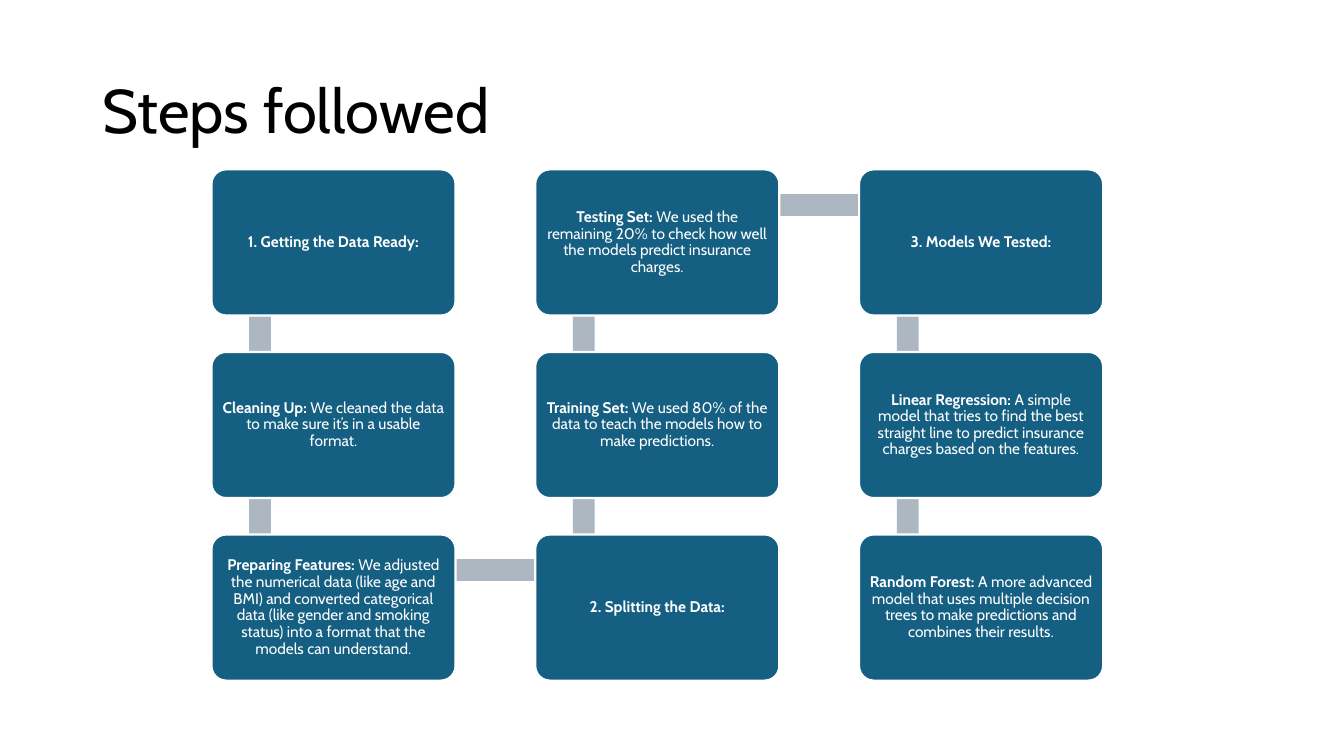
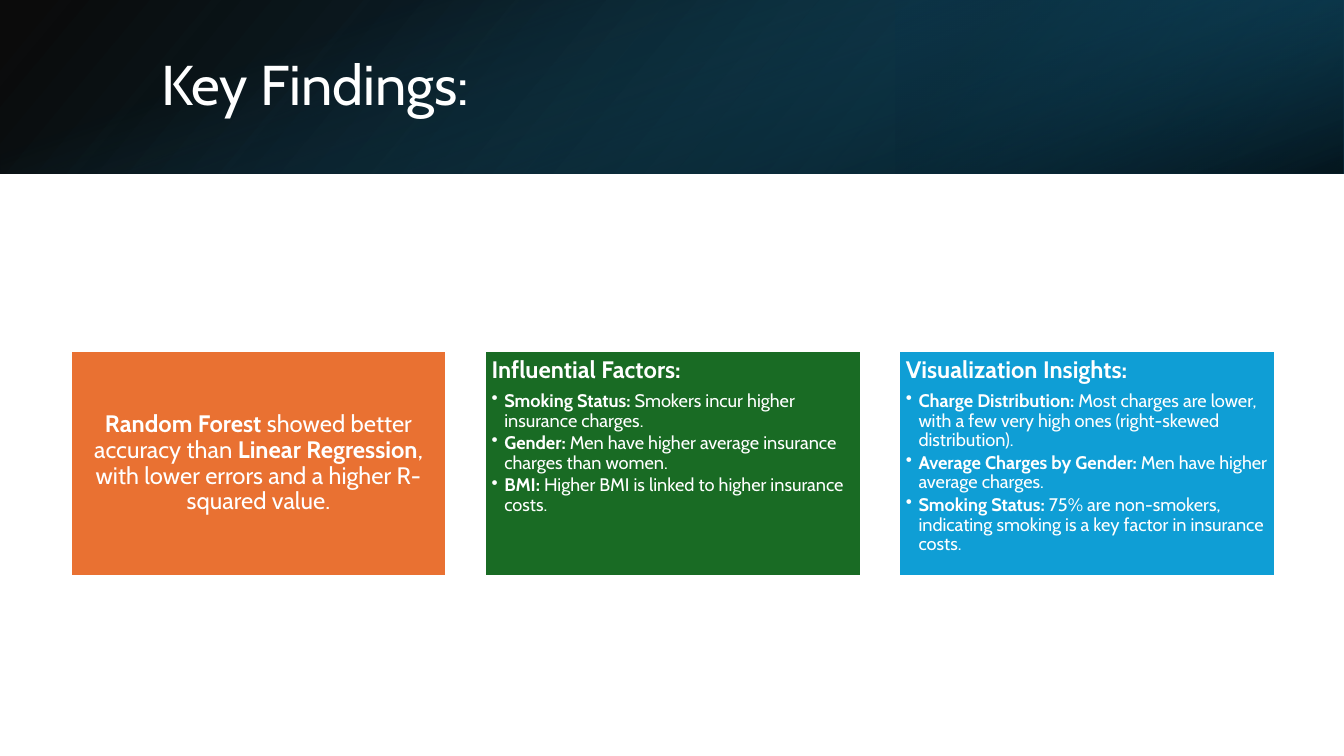
import dataclasses
import itertools

import pptx
import pptx.dml.color
import pptx.enum.shapes
import pptx.enum.text
import pptx.oxml.ns
import pptx.util
from lxml import etree

Cm = pptx.util.Cm
Pt = pptx.util.Pt
RGB = pptx.dml.color.RGBColor.from_string
qn = pptx.oxml.ns.qn
MSO_SHAPE = pptx.enum.shapes.MSO_SHAPE
ALIGN = pptx.enum.text.PP_ALIGN
ANCHOR = pptx.enum.text.MSO_ANCHOR


@dataclasses.dataclass(frozen=True)
class Theme:
    font: str = "Cabin"
    black: str = "000000"
    white: str = "FFFFFF"
    teal: str = "156082"
    deep_teal: str = "104862"
    dark_teal: str = "0B3041"
    grey: str = "ACB7C1"
    orange: str = "E97132"
    green: str = "196B24"
    blue: str = "0F9ED5"
    title_size: int = 44
    band_title_size: int = 40
    step_size: int = 11
    finding_size: int = 17
    bullet_size: int = 13
    line_spacing: float = 0.9
    outline: float = 1.5


theme = Theme()


def add_box(s, kind, x, y, w, h, fill=None, outlined=False):
    """Add a shape without shadow; lengths are in centimetres."""
    sp = s.shapes.add_shape(kind, Cm(x), Cm(y), Cm(w), Cm(h))
    sp.shadow.inherit = False
    if fill:
        sp.fill.solid()
        sp.fill.fore_color.rgb = RGB(fill)
    if outlined:
        sp.line.color.rgb = RGB(theme.white)
        sp.line.width = Pt(theme.outline)
    else:
        sp.line.fill.background()
    return sp


def write(p, text, size, color=theme.white, align=ALIGN.LEFT):
    """Fill a paragraph; parts between double asterisks are bold."""
    p.alignment = align
    p.line_spacing = theme.line_spacing
    for i, part in enumerate(text.split("**")):
        if part:
            r = p.add_run()
            r.text = part
            r.font.name = theme.font
            r.font.size = Pt(size)
            r.font.bold = i % 2 == 1
            r.font.color.rgb = RGB(color)


prs = pptx.Presentation()
prs.slide_width, prs.slide_height = Cm(33.87), Cm(19.05)

# Slides and titles
titles = [
    ("Steps followed", (2.33, 1.02, 29.21, 3.68), theme.title_size, theme.black),
    ("Key Findings:", (3.81, 0.97, 27.89, 2.44), theme.band_title_size, theme.white),
]
for text, box, size, color in titles:
    s = prs.slides.add_slide(prs.slide_layouts[5])
    title = s.shapes.title
    title.left, title.top, title.width, title.height = map(Cm, box)
    tf = title.text_frame
    tf.word_wrap = True
    tf.auto_size = pptx.enum.text.MSO_AUTO_SIZE.NONE
    tf.vertical_anchor = ANCHOR.MIDDLE
    write(tf.paragraphs[0], text, size, color)
steps_slide, findings_slide = prs.slides

# Steps: a snake that runs down, up and down again
steps = [
    "**1. Getting the Data Ready:**",
    "**Cleaning Up:** We cleaned the data to make sure it’s in a usable format.",
    "**Preparing Features:** We adjusted the numerical data (like age and BMI) and "
    "converted categorical data (like gender and smoking status) into a format that "
    "the models can understand.",
    "**2. Splitting the Data:**",
    "**Training Set:** We used 80% of the data to teach the models how to make predictions.",
    "**Testing Set:** We used the remaining 20% to check how well the models predict "
    "insurance charges.",
    "**3. Models We Tested:**",
    "**Linear Regression:** A simple model that tries to find the best straight line to "
    "predict insurance charges based on the features.",
    "**Random Forest:** A more advanced model that uses multiple decision trees to make "
    "predictions and combines their results.",
]
rows = 3
step_w, step_h = 6.15, 3.68
pitch_x, pitch_y = 8.16, 4.6
bar = 0.55
cells = []
for i in range(len(steps)):
    col, row = divmod(i, rows)
    if col % 2:
        row = rows - 1 - row
    cells.append((5.33 + col * pitch_x, 4.27 + row * pitch_y))

for (x0, y0), (x1, y1) in itertools.pairwise(cells):
    if x0 == x1:
        add_box(steps_slide, MSO_SHAPE.RECTANGLE, x0 + 0.95, min(y0, y1) + 0.92,
                bar, pitch_y, theme.grey)
    else:
        add_box(steps_slide, MSO_SHAPE.RECTANGLE, x0 + 1.24, y0 + 0.62,
                pitch_x, bar, theme.grey)

for (x, y), text in zip(cells, steps):
    sp = add_box(steps_slide, MSO_SHAPE.ROUNDED_RECTANGLE, x, y, step_w, step_h,
                 theme.teal, outlined=True)
    sp.adjustments[0] = 0.1
    tf = sp.text_frame
    tf.word_wrap = True
    tf.vertical_anchor = ANCHOR.MIDDLE
    tf.margin_left = tf.margin_right = tf.margin_top = tf.margin_bottom = Cm(0.13)
    write(tf.paragraphs[0], text, theme.step_size, align=ALIGN.CENTER)

# Findings: header band of three overlaid gradients
# box, rotation, flipped, clockwise gradient angle, stops (position, colour, opacity %)
bands = [
    ((0, 0, 33.87, 4.37), 0, True, 140,
     [(0, theme.black, 96), (1, theme.deep_teal, 100)]),
    ((22.58, 0, 11.29, 4.37), 180, True, 320,
     [(0.19, theme.dark_teal, 68), (1, theme.teal, 79)]),
    ((14.75, -14.75, 4.37, 33.87), 90, False, 340,
     [(0.23, theme.teal, 0), (0.99, theme.black, 74)]),
]
for box, rotation, flipped, angle, stops in bands:
    sp = add_box(findings_slide, MSO_SHAPE.RECTANGLE, *box)
    sp.rotation = rotation
    if flipped:
        sp.element.spPr.find(qn("a:xfrm")).set("flipH", "1")
    sp.fill.gradient()
    sp.fill.gradient_angle = 360 - angle
    for stop, (position, color, _) in zip(sp.fill.gradient_stops, stops):
        stop.position = position
        stop.color.rgb = RGB(color)
    for clr, (_, _, opacity) in zip(sp.element.spPr.iter(qn("a:srgbClr")), stops):
        etree.SubElement(clr, qn("a:alpha"), val=str(opacity * 1000))

title = findings_slide.shapes.title.element
title.getparent().append(title)

# Findings: three cards, the first a centred statement
findings = [
    (theme.orange,
     "**Random Forest** showed better accuracy than **Linear Regression**, with lower "
     "errors and a higher R-squared value.", []),
    (theme.green, "**Influential Factors:**", [
        "**Smoking Status:** Smokers incur higher insurance charges.",
        "**Gender:** Men have higher average insurance charges than women.",
        "**BMI:** Higher BMI is linked to higher insurance costs.",
    ]),
    (theme.blue, "**Visualization Insights:**", [
        "**Charge Distribution:** Most charges are lower, with a few very high ones "
        "(right-skewed distribution).",
        "**Average Charges by Gender:** Men have higher average charges.",
        "**Smoking Status:** 75% are non-smokers, indicating smoking is a key factor in "
        "insurance costs.",
    ]),
]
for i, (fill, heading, bullets) in enumerate(findings):
    sp = add_box(findings_slide, MSO_SHAPE.RECTANGLE, 1.78 + i * 10.44, 8.84, 9.47, 5.69,
                 fill, outlined=True)
    tf = sp.text_frame
    tf.word_wrap = True
    tf.vertical_anchor = ANCHOR.TOP if bullets else ANCHOR.MIDDLE
    tf.margin_left = tf.margin_right = tf.margin_top = tf.margin_bottom = Cm(0.17)
    p = tf.paragraphs[0]
    write(p, heading, theme.finding_size, align=ALIGN.LEFT if bullets else ALIGN.CENTER)
    if bullets:
        p.space_after = Pt(6)
    for text in bullets:
        p = tf.add_paragraph()
        write(p, text, theme.bullet_size)
        p.space_after = Pt(2)
        pPr = p._p.get_or_add_pPr()
        pPr.set("marL", str(Cm(0.32)))
        pPr.set("indent", str(-Cm(0.32)))
        etree.SubElement(pPr, qn("a:buChar"), char="•")

prs.save("out.pptx")
